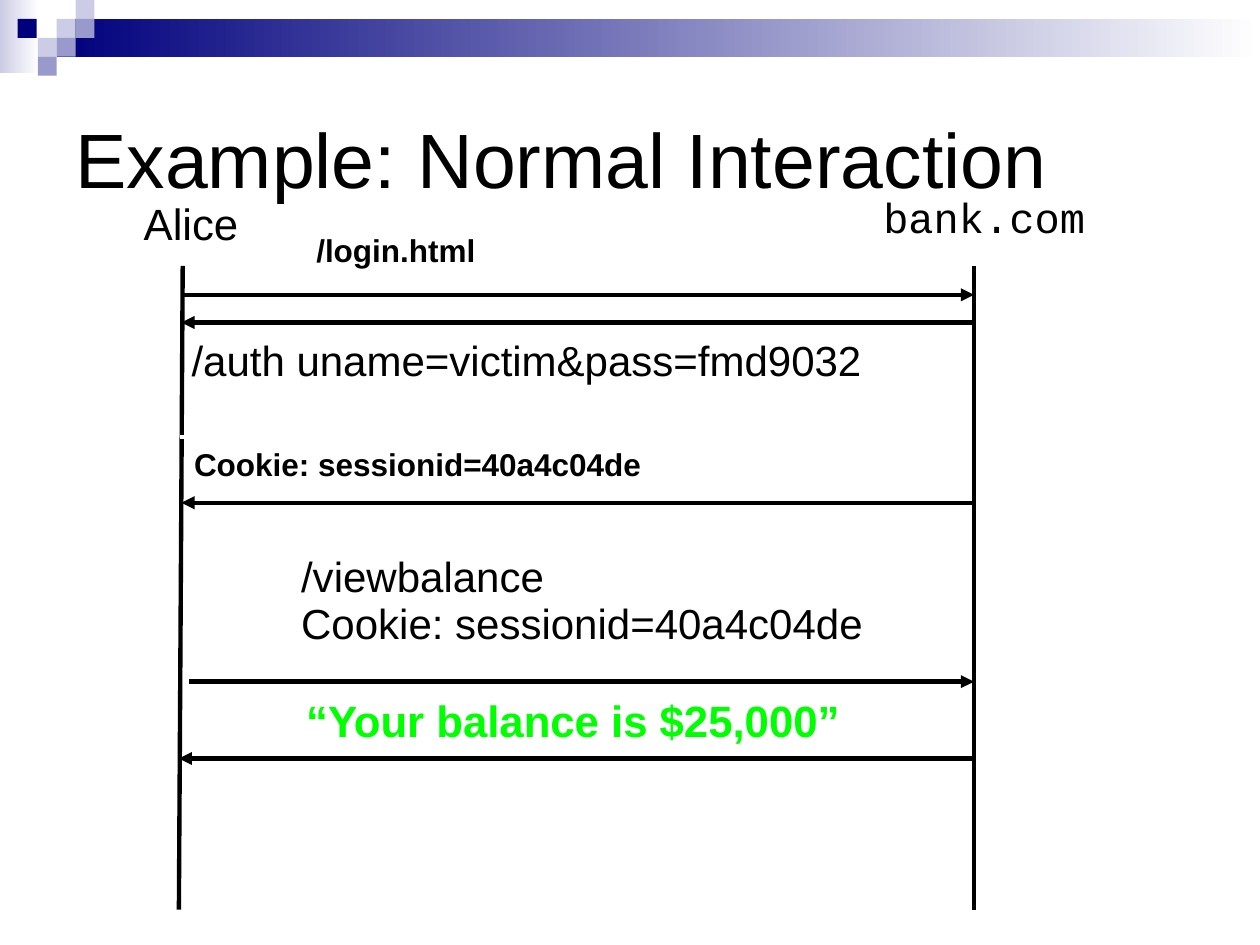
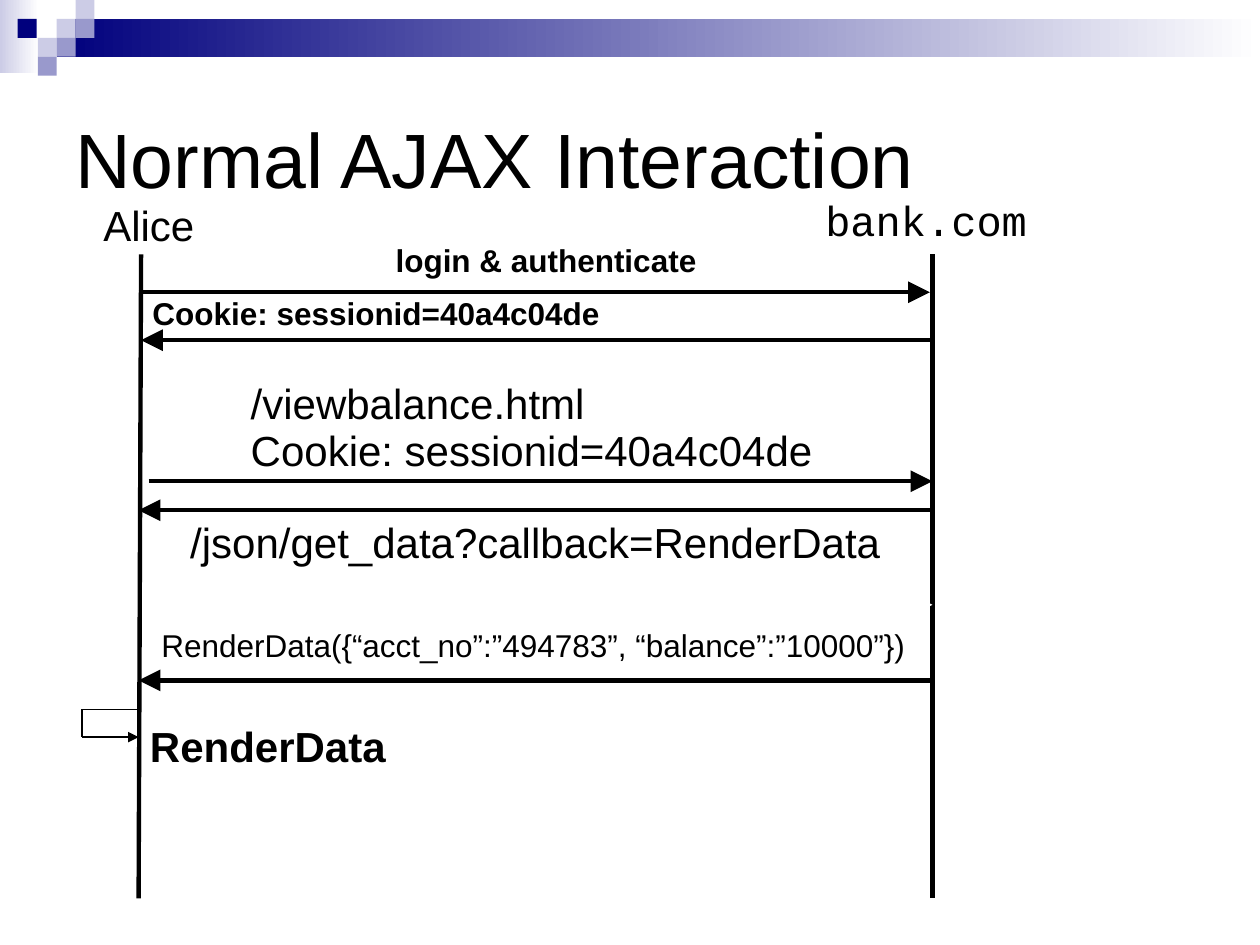
from lxml.etree import SubElement
from pptx import Presentation
from pptx.dml.color import RGBColor
from pptx.enum.shapes import MSO_CONNECTOR, MSO_SHAPE
from pptx.enum.text import MSO_ANCHOR, MSO_AUTO_SIZE
from pptx.oxml.ns import qn
from pptx.util import Inches, Pt

BLACK, WHITE = "000000", "FFFFFF"
NAVY, PERIWINKLE, LAVENDER = "00007D", "9999CC", "CCCCE6"
GREEN = "00FF00"
SQUARE = 0.15
CORNER_SQUARES = [  # left, top, colour
    (0.45, 0.15, LAVENDER), (0.6, 0, LAVENDER), (0.6, 0.15, PERIWINKLE),
    (0.3, 0.3, LAVENDER), (0.14, 0.15, NAVY), (0.45, 0.3, PERIWINKLE),
    (0.3, 0.45, PERIWINKLE),
]


def color(hex_string):
    return RGBColor.from_string(hex_string)


def add_block(slide, left, top, width, height, fill, fade=False):
    """Add a borderless rectangle, solid or fading to white on the right."""
    shape = slide.shapes.add_shape(
        MSO_SHAPE.RECTANGLE, Inches(left), Inches(top), Inches(width), Inches(height))
    shape.shadow.inherit = False
    shape.line.fill.background()
    if fade:
        shape.fill.gradient()
        shape.fill.gradient_angle = 180
        for stop, stop_color in zip(shape.fill.gradient_stops, (WHITE, fill)):
            stop.color.rgb = color(stop_color)
    else:
        shape.fill.solid()
        shape.fill.fore_color.rgb = color(fill)


def add_text(slide, text, left, top, width, height, size=24, font="Arial",
             bold=False, fill=BLACK, spacing=0.93, left_inset=0.09, inset=0.05,
             anchor=MSO_ANCHOR.TOP):
    """Add left-aligned text; no right inset, so tight boxes keep their lines whole."""
    box = slide.shapes.add_textbox(
        Inches(left), Inches(top), Inches(width), Inches(height))
    frame = box.text_frame
    frame.word_wrap = True
    frame.auto_size = MSO_AUTO_SIZE.NONE
    frame.vertical_anchor = anchor
    frame.margin_left, frame.margin_right = Inches(left_inset), 0
    frame.margin_top = frame.margin_bottom = Inches(inset)
    paragraph = frame.paragraphs[0]
    paragraph.text = text
    paragraph.line_spacing = spacing
    for run in paragraph.runs:
        run.font.name = font
        run.font.size = Pt(size)
        run.font.bold = bold
        run.font.color.rgb = color(fill)


def add_line(slide, start, end, stroke=BLACK, width=2.5, head=None):
    """Add a straight line; head is the arrowhead size, 'med' or 'lg'."""
    connector = slide.shapes.add_connector(
        MSO_CONNECTOR.STRAIGHT, *(Inches(value) for value in (*start, *end)))
    connector.line.color.rgb = color(stroke)
    connector.line.width = Pt(width)
    if head:
        SubElement(connector.line._get_or_add_ln(), qn("a:tailEnd"),
                   type="triangle", w=head, len=head)
    SubElement(connector._element.spPr, qn("a:effectLst"))


def add_message(slide, start_x, end_x, y, head, stroke=BLACK):
    add_line(slide, (start_x, y), (end_x, y), stroke=stroke, head=head)


def add_titled_slide(presentation, title, top, height):
    slide = presentation.slides.add_slide(presentation.slide_layouts[6])
    add_block(slide, 0, 0, 0.31, 0.58, LAVENDER, fade=True)
    add_block(slide, 0.45, 0.15, 9.55, 0.3, NAVY, fade=True)
    for left, square_top, fill in CORNER_SQUARES:
        add_block(slide, left, square_top, SQUARE, SQUARE, fill)
    add_text(slide, title, 0.5, top, 9, height, size=44, spacing=1,
             left_inset=0.1, anchor=MSO_ANCHOR.MIDDLE)
    return slide


def build_normal_interaction(presentation):
    slide = add_titled_slide(presentation, "Example: Normal Interaction", 0.65, 1.2)
    alice, bank = 1.44, 7.73

    add_line(slide, (1.45, 2.11), (1.42, 7.22))
    add_message(slide, 1.43, 7.7, 3.47, "med", stroke=WHITE)
    add_line(slide, (bank, 2.11), (bank, 7.22))
    for start_x, end_x, y in [(1.45, bank, 2.34), (bank, alice, 2.56),
                              (bank, alice, 3.99), (1.5, bank, 5.41),
                              (bank, 1.42, 6.02)]:
        add_message(slide, start_x, end_x, y, "med")

    add_text(slide, "Alice", 1.05, 1.55, 0.93, 0.48, size=25)
    add_text(slide, "bank.com", 6.92, 1.51, 1.78, 0.46, font="Courier New")
    add_text(slide, "/login.html", 2.42, 1.81, 1.45, 0.37, size=18, bold=True)
    add_text(slide, "/auth uname=victim&pass=fmd9032", 1.43, 2.64, 6.21, 0.46)
    add_text(slide, "Cookie: sessionid=40a4c04de", 1.45, 3.51, 3.73, 0.37,
             size=18, bold=True)
    add_text(slide, "/viewbalance\nCookie: sessionid=40a4c04de", 2.3, 4.36, 4.64, 0.84)
    add_text(slide, "“Your balance is $25,000”", 2.34, 5.49, 4.44, 0.48,
             size=25, bold=True, fill=GREEN)


def build_ajax_interaction(presentation):
    slide = add_titled_slide(presentation, "Normal AJAX Interaction", 0.5, 1.5)
    alice, bank = 1.1, 7.4

    add_line(slide, (1.12, 2.02), (alice, 7.13))
    add_line(slide, (bank, 2.02), (bank, 7.13))
    for start_x, end_x, y in [(alice, 7.38, 2.32), (bank, 1.12, 2.7),
                              (1.18, bank, 3.82), (bank, alice, 4.05),
                              (bank, alice, 5.4)]:
        add_message(slide, start_x, end_x, y, "lg")
    add_message(slide, 1.18, bank, 4.8, "lg", stroke=WHITE)

    loop_left, loop_top, loop_bottom = 0.65, 5.63, 5.85
    add_line(slide, (alice, loop_top), (loop_left, loop_top), width=0.75)
    add_line(slide, (loop_left, loop_top), (loop_left, loop_bottom), width=0.75)
    add_line(slide, (loop_left, loop_bottom), (alice, loop_bottom), width=0.75, head="med")

    add_text(slide, "Alice", 0.73, 1.57, 0.9, 0.46)
    add_text(slide, "bank.com", 6.46, 1.53, 1.83, 0.46, font="Courier New")
    add_text(slide, "login & authenticate", 3.05, 1.89, 2.6, 0.37, size=18, bold=True)
    add_text(slide, "Cookie: sessionid=40a4c04de", 1.12, 2.31, 3.73, 0.37,
             size=18, bold=True)
    add_text(slide, "/viewbalance.html\nCookie: sessionid=40a4c04de",
             1.9, 2.98, 4.64, 0.84)
    add_text(slide, "/json/get_data?callback=RenderData", 1.42, 4.06, 5.66, 0.49,
             spacing=1, inset=0.04)
    add_text(slide, "RenderData({“acct_no”:”494783”, “balance”:”10000”})",
             1.19, 4.93, 6.09, 0.39, size=18, spacing=1, inset=0.04)
    add_text(slide, "RenderData", alice, 5.68, 2.05, 0.49, bold=True,
             spacing=1, inset=0.04)


def main():
    presentation = Presentation()
    presentation.slide_width = Inches(10)
    presentation.slide_height = Inches(7.5)
    build_normal_interaction(presentation)
    build_ajax_interaction(presentation)
    presentation.save("out.pptx")


if __name__ == "__main__":
    main()
